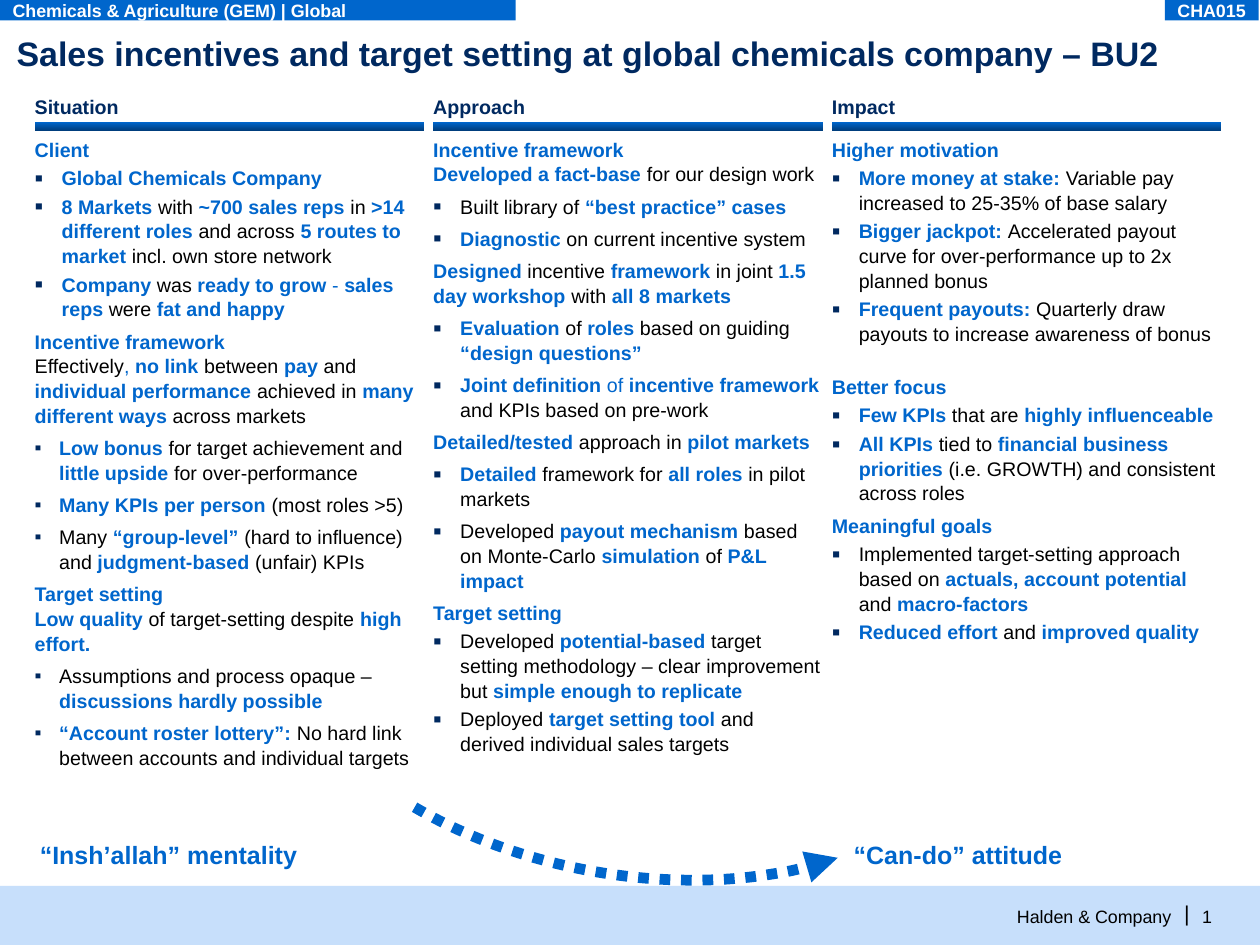
from lxml.etree import SubElement
from pptx import Presentation
from pptx.dml.color import RGBColor
from pptx.enum.dml import MSO_LINE
from pptx.enum.shapes import MSO_SHAPE
from pptx.enum.text import MSO_ANCHOR, PP_ALIGN
from pptx.oxml.ns import qn
from pptx.util import Inches, Pt

FONT = "Arial"
NAVY, BLUE, DEEP_BLUE, PALE_BLUE = "002960", "0066CC", "003C79", "C7DFFB"
BLACK, WHITE = "000000", "FFFFFF"

COLUMN_LEFT, COLUMN_STEP, COLUMN_WIDTH = 0.27, 3.1, 3.03

# Paragraph kinds: space before (pt), bullet indent (in), bullet size (%)
KINDS = {
    "head": (4.2, 0, 0),
    "new section": (15.8, 0, 0),
    "tight": (2.1, 0.21, 125),
    "loose": (4.2, 0.21, 125),
    "small": (4.2, 0.19, 100),
}

# In the texts, *...* is bold blue and ^...^ is regular blue
COLUMNS = [
    ("Situation", [
        ("head", "*Client*"),
        ("tight", "*Global Chemicals Company*"),
        ("tight", "*8 Markets *with *~700 sales reps *in *>14 different roles* and across "
                  "*5 routes to market *incl. own store network"),
        ("tight", "*Company* was *ready to grow *^- ^*sales reps *were *fat and happy*"),
        ("head", "*Incentive framework\n*Effectively^, ^*no link *between *pay* and "
                 "*individual performance *achieved in *many different ways *across markets"),
        ("small", "*Low bonus *for target achievement and *little upside *for over-performance"),
        ("small", "*Many KPIs per person *(most roles >5)"),
        ("small", "Many *“group-level” *(hard to influence) and *judgment-based* (unfair) KPIs"),
        ("head", "*Target setting\nLow quality *of target-setting despite *high effort.*"),
        ("small", "Assumptions and process opaque – *discussions hardly possible*"),
        ("small", "*“Account roster lottery”: *No hard link between accounts and individual targets"),
    ]),
    ("Approach", [
        ("head", "*Incentive framework\nDeveloped a fact-base *for our design work"),
        ("loose", "Built library of *“best practice” cases*"),
        ("loose", "*Diagnostic* on current incentive system"),
        ("head", "*Designed* incentive *framework* in joint *1.5 day workshop *with *all 8 markets*"),
        ("loose", "*Evaluation* of *roles* based on guiding *“design questions”*"),
        ("loose", "*Joint definition *^of ^*incentive framework *and KPIs based on pre-work"),
        ("head", "*Detailed/tested* approach in *pilot markets*"),
        ("loose", "*Detailed* framework for *all roles *in pilot markets"),
        ("loose", "Developed *payout mechanism *based on Monte-Carlo *simulation* of *P&L impact*"),
        ("head", "*Target setting*"),
        ("tight", "Developed *potential-based *target setting methodology – clear improvement but "
                  "*simple enough to replicate*"),
        ("tight", "Deployed *target setting tool *and derived individual sales targets"),
    ]),
    ("Impact", [
        ("head", "*Higher motivation*"),
        ("tight", "*More money at stake: *Variable pay increased to 25-35% of base salary"),
        ("tight", "*Bigger jackpot: *Accelerated payout curve for over-performance up to 2x planned bonus"),
        ("tight", "*Frequent payouts: *Quarterly draw payouts to increase awareness of bonus"),
        ("new section", "*Better focus*"),
        ("tight", "*Few KPIs *that are *highly influenceable*"),
        ("tight", "*All KPIs *tied to *financial business priorities *(i.e. GROWTH) and consistent across roles"),
        ("head", "*Meaningful goals*"),
        ("tight", "Implemented target-setting approach based on *actuals, account potential *and *macro-factors*"),
        ("tight", "*Reduced effort *and *improved quality*"),
    ]),
]


def rgb(value):
    return RGBColor.from_string(value)


def add_run(paragraph, text, size, color, bold=False):
    for index, line in enumerate(text.split("\n")):
        if index:
            paragraph.add_line_break()
        if line:
            run = paragraph.add_run()
            run.text = line
            run.font.name, run.font.size, run.font.bold = FONT, Pt(size), bold
            run.font.color.rgb = rgb(color)


def set_frame(frame, inset=0.0, anchor=MSO_ANCHOR.TOP, wrap=True):
    frame.margin_left = frame.margin_right = Inches(inset)
    frame.margin_top = frame.margin_bottom = Inches(0)
    frame.vertical_anchor = anchor
    frame.word_wrap = wrap


def add_label(slide, box, text, size, color, bold=False, inset=0.0,
              anchor=MSO_ANCHOR.MIDDLE, align=PP_ALIGN.LEFT, wrap=True):
    frame = slide.shapes.add_textbox(*map(Inches, box)).text_frame
    set_frame(frame, inset, anchor, wrap)
    frame.paragraphs[0].alignment = align
    add_run(frame.paragraphs[0], text, size, color, bold)


def add_block(slide, box, color):
    block = slide.shapes.add_shape(MSO_SHAPE.RECTANGLE, *map(Inches, box))
    block.shadow.inherit = False
    block.fill.solid()
    block.fill.fore_color.rgb = rgb(color)
    block.line.fill.background()
    return block


def add_tag(slide, box, text):
    tag = add_block(slide, box, BLUE)
    set_frame(tag.text_frame, 0.1, MSO_ANCHOR.MIDDLE, wrap=False)
    tag.text_frame.paragraphs[0].alignment = PP_ALIGN.LEFT
    add_run(tag.text_frame.paragraphs[0], text, 10, WHITE, True)


def add_bullet(paragraph, indent, percent):
    properties = paragraph._p.get_or_add_pPr()
    properties.set("marL", str(Inches(indent)))
    properties.set("indent", str(-Inches(indent)))
    color = SubElement(properties, qn("a:buClr"))
    SubElement(color, qn("a:srgbClr"), val=NAVY)
    SubElement(properties, qn("a:buSzPct"), val=str(percent * 1000))
    SubElement(properties, qn("a:buFont"), typeface=FONT)
    SubElement(properties, qn("a:buChar"), char="▪")


def add_points(slide, box, points):
    frame = slide.shapes.add_textbox(*map(Inches, box)).text_frame
    set_frame(frame)
    for index, (kind, text) in enumerate(points):
        paragraph = frame.add_paragraph() if index else frame.paragraphs[0]
        space, indent, percent = KINDS[kind]
        paragraph.line_spacing = 1.05
        paragraph.space_before = Pt(space if index else 0)
        if indent:
            add_bullet(paragraph, indent, percent)
        for strong, part in enumerate(text.split("*")):
            if strong % 2:
                add_run(paragraph, part, 11, BLUE, True)
                continue
            for tinted, piece in enumerate(part.split("^")):
                add_run(paragraph, piece, 11, BLUE if tinted % 2 else BLACK)


def add_column(slide, left, heading, points):
    add_label(slide, (left, 0.73, COLUMN_WIDTH, 0.19), heading, 11, NAVY, True,
              anchor=MSO_ANCHOR.BOTTOM)
    rule = add_block(slide, (left, 0.95, COLUMN_WIDTH, 0.07), BLUE)
    rule.fill.gradient()
    rule.fill.gradient_angle = 90
    for stop, color in zip(rule.fill.gradient_stops, (DEEP_BLUE, BLUE)):
        stop.color.rgb = rgb(color)
    add_points(slide, (left, 1.06, COLUMN_WIDTH, 5.2), points)


def add_dotted_arc(slide):
    arc = slide.shapes.add_shape(MSO_SHAPE.ARC, *map(Inches, (3.15, 2.27, 3.44, 5.61)))
    arc.shadow.inherit = False
    arc.adjustments[0], arc.adjustments[1] = 190.32, 34.12
    arc.rotation = 281
    arc._element.spPr.find(qn("a:xfrm")).set("flipH", "1")
    arc.fill.background()
    arc.line.color.rgb = rgb(BLUE)
    arc.line.width = Pt(6)
    arc.line.dash_style = MSO_LINE.ROUND_DOT
    SubElement(arc.line._get_or_add_ln(), qn("a:tailEnd"), type="triangle")


def main():
    deck = Presentation()
    deck.slide_width, deck.slide_height = Inches(9.8), Inches(7.35)
    slide = deck.slides.add_slide(deck.slide_layouts[6])

    # Footer
    add_block(slide, (0, 6.89, 9.8, 0.46), PALE_BLUE)
    add_label(slide, (7.75, 7.04, 1.36, 0.17), "Halden & Company", 10, BLACK,
              align=PP_ALIGN.RIGHT, wrap=False)
    add_label(slide, (9.21, 7, 0.04, 0.2), "|", 12, BLACK, align=PP_ALIGN.RIGHT, wrap=False)
    add_label(slide, (9.35, 7.04, 0.17, 0.17), "1", 10, BLACK, wrap=False)

    # Tags and title
    add_tag(slide, (0, 0, 4.01, 0.16), "Chemicals & Agriculture (GEM) | Global")
    add_tag(slide, (9.06, 0, 0.73, 0.16), "CHA015")
    add_label(slide, (0.13, 0.25, 9.43, 0.32),
              "Sales incentives and target setting at global chemicals company – BU2",
              19, NAVY, True, anchor=MSO_ANCHOR.TOP)

    # Three columns
    for index, (heading, points) in enumerate(COLUMNS):
        add_column(slide, COLUMN_LEFT + index * COLUMN_STEP, heading, points)

    # Change of attitude
    add_dotted_arc(slide)
    for left, attitude in ((0.23, "“Insh’allah” mentality"), (6.56, "“Can-do” attitude")):
        add_label(slide, (left, 6.45, 3.16, 0.39), attitude, 14, BLUE, True, inset=0.08)

    deck.save("out.pptx")


if __name__ == "__main__":
    main()
